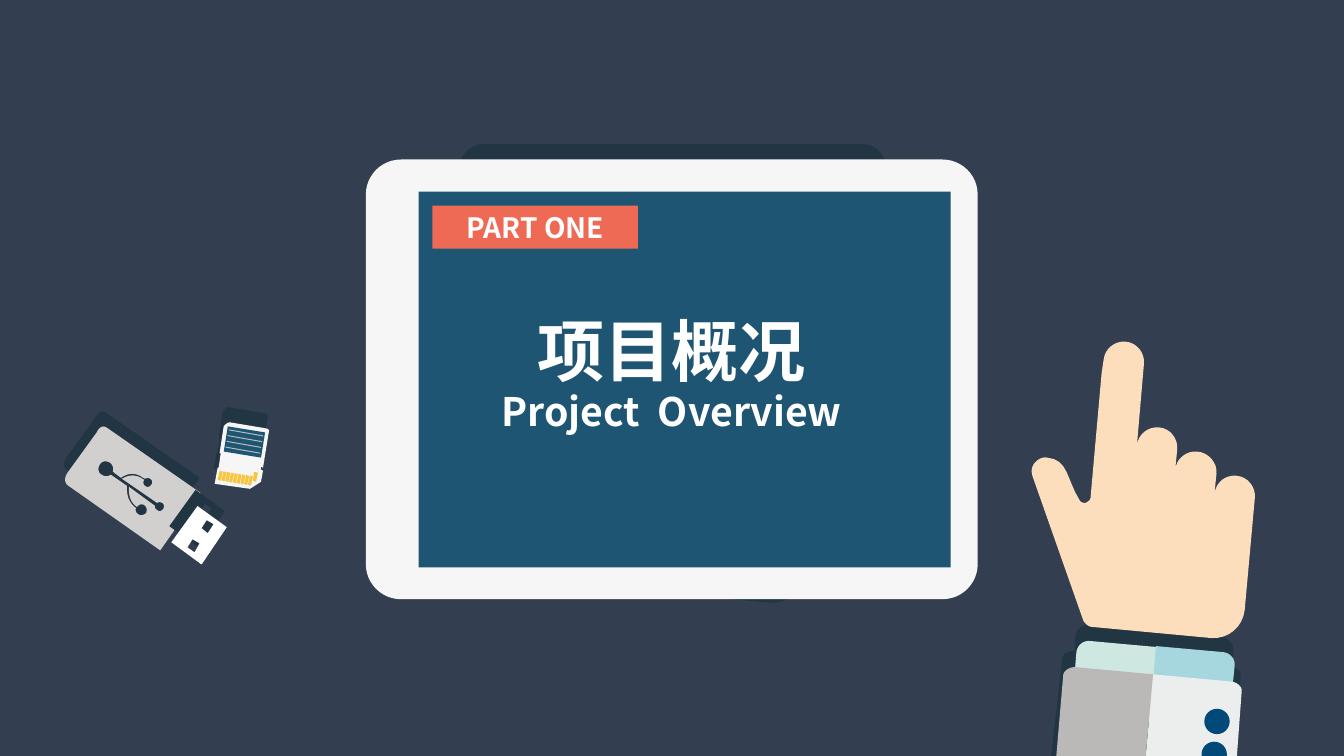
from dataclasses import dataclass

from pptx import Presentation
from pptx.dml.color import RGBColor
from pptx.enum.shapes import MSO_SHAPE
from pptx.enum.text import MSO_ANCHOR, MSO_AUTO_SIZE, PP_ALIGN
from pptx.oxml.xmlchemy import OxmlElement
from pptx.util import Cm, Pt

RECTANGLE, ROUNDED, OVAL = MSO_SHAPE.RECTANGLE, MSO_SHAPE.ROUNDED_RECTANGLE, MSO_SHAPE.OVAL
MIDDLE, CENTER, NO_RESIZE = MSO_ANCHOR.MIDDLE, PP_ALIGN.CENTER, MSO_AUTO_SIZE.NONE
GRID = Cm(2.54)
CURVE_STEPS = 8


@dataclass(frozen=True)
class Theme:
    font: str = "Noto Sans CJK SC"
    title: int = 48
    subtitle: int = 28
    label: int = 20
    desk: str = "333F50"
    shadow: str = "223543"
    white: str = "FFFFFF"
    shell: str = "F6F6F6"
    screen: str = "1E5573"
    tag: str = "EF6A54"
    metal: str = "D1D0CE"
    gold: str = "F9C541"
    stripe: str = "BBBAB7"
    skin: str = "FCDDBC"
    cuff_light: str = "CEE7E1"
    cuff_dark: str = "A7D7DE"
    sleeve_light: str = "ECEEED"
    sleeve_dark: str = "BAB9B7"
    button: str = "004978"


theme = Theme()
deck = Presentation()
deck.slide_width, deck.slide_height = Cm(33.87), Cm(19.05)
page = deck.slides.add_slide(deck.slide_layouts[0])
page.background.fill.solid()
page.background.fill.fore_color.rgb = RGBColor.from_string(theme.desk)


def draw(contours, color, dx=0, dy=0):
    builder = None
    for start, *segments in contours:
        points = [start]
        for segment in segments:
            if len(segment) == 2:
                points.append(segment)
                continue
            x0, y0 = points[-1]
            x1, y1, x2, y2, x3, y3 = segment
            for step in range(1, CURVE_STEPS + 1):
                t = step / CURVE_STEPS
                a, b, c, d = (1 - t) ** 3, 3 * t * (1 - t) ** 2, 3 * t * t * (1 - t), t ** 3
                points.append((a * x0 + b * x1 + c * x2 + d * x3, a * y0 + b * y1 + c * y2 + d * y3))
        points = [((x + dx) * GRID, (y + dy) * GRID) for x, y in points]
        if builder is None:
            builder = page.shapes.build_freeform(*points[0])
        else:
            builder.move_to(*points[0])
        builder.add_line_segments(points[1:], close=True)
    shape = builder.convert_to_shape()
    shape.shadow.inherit = False
    shape.fill.solid()
    shape.fill.fore_color.rgb = RGBColor.from_string(color)
    shape.line.fill.background()


def write(box, text, size):
    frame = box.text_frame
    frame.text = text
    frame.word_wrap = False
    frame.auto_size = NO_RESIZE
    frame.vertical_anchor = MIDDLE
    para = frame.paragraphs[0]
    para.alignment = CENTER
    para.space_before = Pt(0)
    span = para.runs[0]
    span.font.name, span.font.size, span.font.bold = theme.font, Pt(size), True
    span.font.color.rgb = RGBColor.from_string(theme.white)
    east_asian = OxmlElement("a:ea")
    east_asian.set("typeface", theme.font)
    span.font.fill._xPr.append(east_asian)


usb_case = [(0.96, 4.29), (0.67, 4.69), (0.61, 4.78, 0.68, 4.82, 0.68, 4.82), (1.59, 5.46),
            (1.99, 4.89), (1.07, 4.25), (1, 4.19, 0.96, 4.29, 0.96, 4.29)]
usb_symbol = [
    (1.09, 4.59), (1.12, 4.61, 1.13, 4.65, 1.12, 4.68), (1.2, 4.74),
    (1.3, 4.67, 1.38, 4.71, 1.42, 4.74), (1.43, 4.74, 1.43, 4.75, 1.44, 4.75),
    (1.45, 4.74, 1.48, 4.74, 1.49, 4.75), (1.51, 4.76, 1.52, 4.79, 1.5, 4.81),
    (1.49, 4.83, 1.46, 4.84, 1.44, 4.82), (1.42, 4.81, 1.42, 4.78, 1.43, 4.76),
    (1.4, 4.74, 1.32, 4.68, 1.21, 4.75), (1.56, 4.99), (1.57, 4.98, 1.59, 4.98, 1.61, 4.99),
    (1.63, 5, 1.63, 5.03, 1.62, 5.05), (1.6, 5.07, 1.58, 5.08, 1.56, 5.06),
    (1.54, 5.05, 1.53, 5.03, 1.54, 5.02), (1.28, 4.83), (1.27, 4.96, 1.33, 5.01, 1.36, 5.03),
    (1.38, 5, 1.41, 5, 1.43, 5.01), (1.46, 5.03, 1.46, 5.06, 1.45, 5.09),
    (1.43, 5.11, 1.39, 5.12, 1.37, 5.1), (1.35, 5.09, 1.34, 5.06, 1.35, 5.04),
    (1.32, 5.02, 1.25, 4.96, 1.26, 4.82), (1.1, 4.71), (1.07, 4.73, 1.04, 4.73, 1.01, 4.71),
    (0.97, 4.69, 0.97, 4.64, 0.99, 4.61), (1.01, 4.57, 1.06, 4.57, 1.09, 4.59)]
usb_collar = [(1.11, 4.35), (1.81, 4.85), (1.52, 5.26), (0.82, 4.76)]
usb_plug = [[(2.25, 5.23), (1.96, 5.02), (1.7, 5.38), (2, 5.6)],
            [(1.93, 5.48), (1.86, 5.43), (1.91, 5.35), (1.98, 5.39)],
            [(2.06, 5.29), (2, 5.24), (2.05, 5.16), (2.12, 5.2)]]
card = [(2.64, 4.25), (2.64, 4.25, 2.67, 4.26, 2.67, 4.27), (2.61, 4.64), (2.59, 4.63),
        (2.59, 4.66), (2.61, 4.67), (2.59, 4.78), (2.48, 4.85), (2.13, 4.8), (2.16, 4.64),
        (2.17, 4.64), (2.19, 4.5), (2.18, 4.49), (2.22, 4.23), (2.22, 4.23, 2.25, 4.19, 2.28, 4.19)]
card_label = [(2.22, 4.48), (2.26, 4.23), (2.63, 4.29), (2.59, 4.54)]

draw([usb_case], theme.shadow, -0.01, -0.15)
draw([usb_collar], theme.shadow)
draw([usb_case, usb_symbol], theme.metal)
draw(usb_plug, theme.shadow, -0.02, -0.16)
draw([card], theme.shadow, -0.01, -0.15)
draw(usb_plug, theme.white)
draw([card], theme.shell)
for pin in range(9):
    draw([[(2.16, 4.76), (2.18, 4.67), (2.21, 4.68), (2.19, 4.77)]], theme.gold, pin * 0.0375, pin * 0.006)
draw([[(2.51, 4.77), (2.52, 4.68), (2.56, 4.69), (2.54, 4.78)]], theme.gold)
draw([card_label], theme.screen)
for stripe in range(4):
    draw([[(2.27, 4.26), (2.61, 4.32), (2.61, 4.33), (2.27, 4.27)]], theme.stripe, -stripe * 0.01, stripe * 0.057)

tablet_shadow = [
    (8.56, 1.43), (4.79, 1.43), (4.67, 1.43, 4.56, 1.54, 4.56, 1.66), (4.56, 4.24),
    (4.56, 4.37, 4.67, 4.47, 4.79, 4.47), (5.9, 4.47), (6.37, 5.81),
    (6.39, 5.84, 6.42, 5.86, 6.46, 5.87), (7.64, 5.98), (7.81, 5.99, 7.96, 5.87, 7.97, 5.7),
    (8.07, 4.59), (8.08, 4.54, 8.07, 4.5, 8.05, 4.47), (8.56, 4.47),
    (8.69, 4.47, 8.79, 4.37, 8.79, 4.24), (8.79, 1.66), (8.79, 1.54, 8.69, 1.43, 8.56, 1.43)]
arm_shadow = [
    (10.67, 6.31), (10.66, 6.46), (10.59, 6.46, 10.54, 6.49, 10.54, 6.54), (10.4, 7.74),
    (12.24, 7.65), (12.31, 6.7), (12.31, 6.66, 12.27, 6.62, 12.22, 6.61), (12.24, 6.46),
    (12.24, 6.39, 12.19, 6.33, 12.12, 6.32), (10.81, 6.2), (10.74, 6.19, 10.68, 6.24, 10.67, 6.31)]
cuff_left = [(11.48, 6.42), (10.82, 6.36), (10.75, 6.35, 10.69, 6.4, 10.68, 6.47), (10.64, 6.97),
             (10.63, 7.04, 10.68, 7.1, 10.75, 7.11), (11.41, 7.17), (11.42, 7)]
cuff_right = [(12.14, 6.47), (11.47, 6.41), (11.42, 6.99), (11.41, 7.17), (12.07, 7.23),
              (12.14, 7.23, 12.2, 7.18, 12.2, 7.11), (12.25, 6.61),
              (12.26, 6.54, 12.21, 6.48, 12.14, 6.47)]
sleeve_right = [(12.2, 6.76), (11.44, 6.69), (11.34, 7.81), (12.25, 7.8), (12.32, 6.85),
                (12.32, 6.81, 12.27, 6.76, 12.2, 6.76)]
sleeve_left = [(11.44, 6.69), (10.68, 6.62), (10.62, 6.61, 10.56, 6.65, 10.55, 6.69), (10.46, 7.74),
               (10.75, 7.78, 11.04, 7.8, 11.34, 7.81)]
hand = [
    (12.27, 4.72), (12.16, 4.71, 12.07, 4.78, 12.05, 4.89), (12.07, 4.7),
    (12.08, 4.59, 11.99, 4.49, 11.88, 4.48), (11.77, 4.47, 11.67, 4.55, 11.66, 4.66), (11.68, 4.46),
    (11.69, 4.35, 11.61, 4.25, 11.5, 4.24), (11.39, 4.23, 11.29, 4.31, 11.28, 4.42), (11.35, 3.61),
    (11.36, 3.5, 11.28, 3.4, 11.17, 3.39), (11.06, 3.38, 10.96, 3.46, 10.95, 3.57), (10.93, 3.7),
    (10.82, 4.94), (10.82, 4.96, 10.79, 4.98, 10.77, 4.99), (10.74, 4.99, 10.72, 4.98, 10.71, 4.96),
    (10.58, 4.75, 10.6, 4.56, 10.39, 4.54), (10.34, 4.53, 10.29, 4.56, 10.26, 4.6),
    (10.23, 4.64, 10.23, 4.69, 10.25, 4.74), (10.75, 6.16), (10.77, 6.19, 10.8, 6.22, 10.84, 6.22),
    (12.02, 6.33), (12.19, 6.34, 12.33, 6.22, 12.35, 6.05), (12.45, 4.94),
    (12.46, 4.83, 12.38, 4.73, 12.27, 4.72)]

for outline, color in [(tablet_shadow, theme.shadow), (arm_shadow, theme.shadow),
                       (cuff_left, theme.cuff_light), (cuff_right, theme.cuff_dark),
                       (sleeve_right, theme.sleeve_light), (sleeve_left, theme.sleeve_dark),
                       (hand, theme.skin)]:
    draw([outline], color)

for kind, left, top, width, height, color, text in [
    (OVAL, 30.35, 17.86, 0.64, 0.64, theme.button, ""),
    (OVAL, 30.28, 18.69, 0.64, 0.64, theme.button, ""),
    (ROUNDED, 9.22, 4.02, 15.42, 11.08, theme.shell, ""),
    (RECTANGLE, 10.55, 4.83, 13.41, 9.47, theme.screen, ""),
    (RECTANGLE, 10.9, 5.18, 5.18, 1.09, theme.tag, "PART ONE"),
]:
    shape = page.shapes.add_shape(kind, Cm(left), Cm(top), Cm(width), Cm(height))
    shape.shadow.inherit = False
    shape.fill.solid()
    shape.fill.fore_color.rgb = RGBColor.from_string(color)
    shape.line.fill.background()
    if kind == ROUNDED:
        shape.adjustments[0] = 0.08
    if text:
        write(shape, text, theme.label)

title, subtitle = page.placeholders
for box, text, size, left, top, width, height in [
    (title, "项目概况", theme.title, 13.26, 7.65, 7.34, 2.31),
    (subtitle, "Project  Overview", theme.subtitle, 12.24, 9.63, 9.37, 1.45),
]:
    box.left, box.top, box.width, box.height = Cm(left), Cm(top), Cm(width), Cm(height)
    write(box, text, size)
    page.shapes._spTree.append(box._element)

deck.save("out.pptx")
